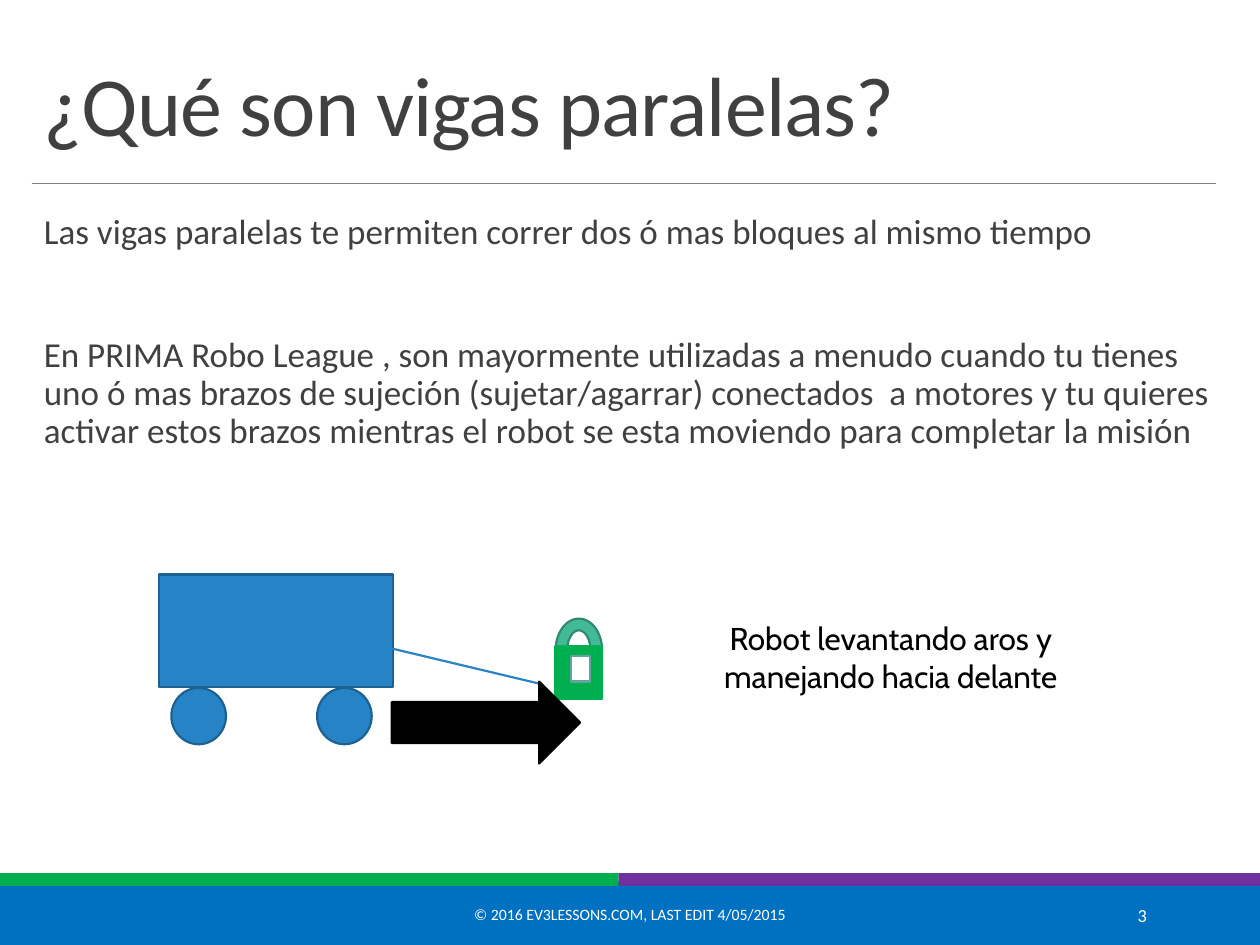
import pptx
import pptx.dml.color
import pptx.enum.shapes
import pptx.enum.text
import pptx.oxml.ns
import pptx.util
from dataclasses import dataclass

Pt = pptx.util.Pt
RGB = pptx.dml.color.RGBColor.from_string
Shape = pptx.enum.shapes.MSO_SHAPE
Anchor = pptx.enum.text.MSO_ANCHOR
Align = pptx.enum.text.PP_ALIGN


@dataclass(frozen=True)
class Theme:
    font: str = "Calibri"
    caption_font: str = "Cabin"
    ink: str = "404040"
    black: str = "000000"
    white: str = "FFFFFF"
    rule: str = "808080"
    footer: str = "0070C0"
    green: str = "00B050"
    purple: str = "7030A0"
    robot: str = "2683C6"
    robot_edge: str = "1C6192"
    shackle: str = "42BA97"
    shackle_edge: str = "318A70"
    keyhole_edge: str = "62A39F"
    title_size: float = 48
    body_size: float = 20
    caption_size: float = 18
    footer_size: float = 9
    number_size: float = 10.5
    outline: float = 1.25
    hairline: float = 0.5


theme = Theme()
deck = pptx.Presentation()
deck.slide_width, deck.slide_height = Pt(720), Pt(540)
slide = deck.slides.add_slide(deck.slide_layouts[6])


def add_figure(kind, box, fill, edge=None):
    figure = slide.shapes.add_shape(kind, *map(Pt, box))
    figure.shadow.inherit = False
    figure.fill.solid()
    figure.fill.fore_color.rgb = RGB(fill)
    if edge:
        figure.line.color.rgb = RGB(edge)
        figure.line.width = Pt(theme.outline)
    else:
        figure.line.fill.background()


def add_text(box, lines, size, color, font=theme.font, anchor=Anchor.MIDDLE,
             align=Align.LEFT, spacing=1.0):
    frame = slide.shapes.add_textbox(*map(Pt, box)).text_frame
    frame.word_wrap = True
    frame.vertical_anchor = anchor
    frame.text = "\n".join(lines)
    for paragraph in frame.paragraphs:
        paragraph.alignment = align
        paragraph.line_spacing = spacing
        for run in paragraph.runs:
            run.font.size = Pt(size)
            run.font.name = font
            run.font.color.rgb = RGB(color)
    return frame


add_figure(Shape.RECTANGLE, (0, 504, 720, 36), theme.footer, theme.footer)
add_figure(Shape.RECTANGLE, (0, 499, 353.5, 7.2), theme.green)
add_figure(Shape.RECTANGLE, (353.5, 499, 366.5, 7.2), theme.purple)

title = add_text((18, 22.3, 676.8, 69.1), ["¿Qué son vigas paralelas?"],
                 theme.title_size, theme.ink, anchor=Anchor.BOTTOM, spacing=0.85)
title.paragraphs[0].runs[0].font._element.set("spc", "-50")

add_text((217.4, 508.3, 285.1, 28.8), ["© 2016 EV3LESSONS.COM, LAST EDIT 4/05/2015"],
         theme.footer_size, theme.white, align=Align.CENTER)
add_text((584.6, 508.3, 77.8, 28.8), ["3"],
         theme.number_size, theme.white, align=Align.RIGHT)

explanation = add_text(
    (18, 118.8, 676.8, 200.2),
    ["Las vigas paralelas te permiten correr dos ó mas bloques al mismo tiempo",
     "En PRIMA Robo League , son mayormente utilizadas a menudo cuando tu tienes "
     "uno ó mas brazos de sujeción (sujetar/agarrar) conectados  a motores y tu quieres "
     "activar estos brazos mientras el robot se esta moviendo para completar la misión"],
    theme.body_size, theme.ink, anchor=Anchor.TOP, spacing=0.9)
explanation.margin_right = 0
explanation.paragraphs[1].space_before = Pt(49)

add_text((385.9, 304.6, 246.2, 141.8), ["Robot levantando aros y manejando hacia delante"],
         theme.caption_size, theme.black, theme.caption_font, align=Align.CENTER)

add_figure(Shape.RECTANGLE, (90.7, 328.3, 133.9, 64.4), theme.robot, theme.robot_edge)
for wheel_left in (97.9, 181.2):
    add_figure(Shape.OVAL, (wheel_left, 393.1, 31.2, 32.2), theme.robot, theme.robot_edge)

for ends, color, width in (
    ((18, 105.1, 694.8, 105.1), theme.rule, theme.hairline),
    ((218.9, 369.4, 309.6, 391), theme.robot, theme.outline),
):
    stroke = slide.shapes.add_connector(
        pptx.enum.shapes.MSO_CONNECTOR.STRAIGHT, *map(Pt, ends))
    stroke.line.color.rgb = RGB(color)
    stroke.line.width = Pt(width)
    stroke._element.spPr.append(pptx.oxml.parse_xml(
        "<a:effectLst %s/>" % pptx.oxml.ns.nsdecls("a")))

add_figure(Shape.BLOCK_ARC, (317.5, 353.5, 26.6, 36), theme.shackle, theme.shackle_edge)
add_figure(Shape.RECTANGLE, (317.5, 369.4, 26.6, 30), theme.green, theme.green)
add_figure(Shape.RECTANGLE, (326.2, 375.1, 10.8, 14.4), theme.white, theme.keyhole_edge)
add_figure(Shape.RIGHT_ARROW, (223.9, 389.5, 107.6, 46.8), theme.black, theme.black)

deck.save("out.pptx")
